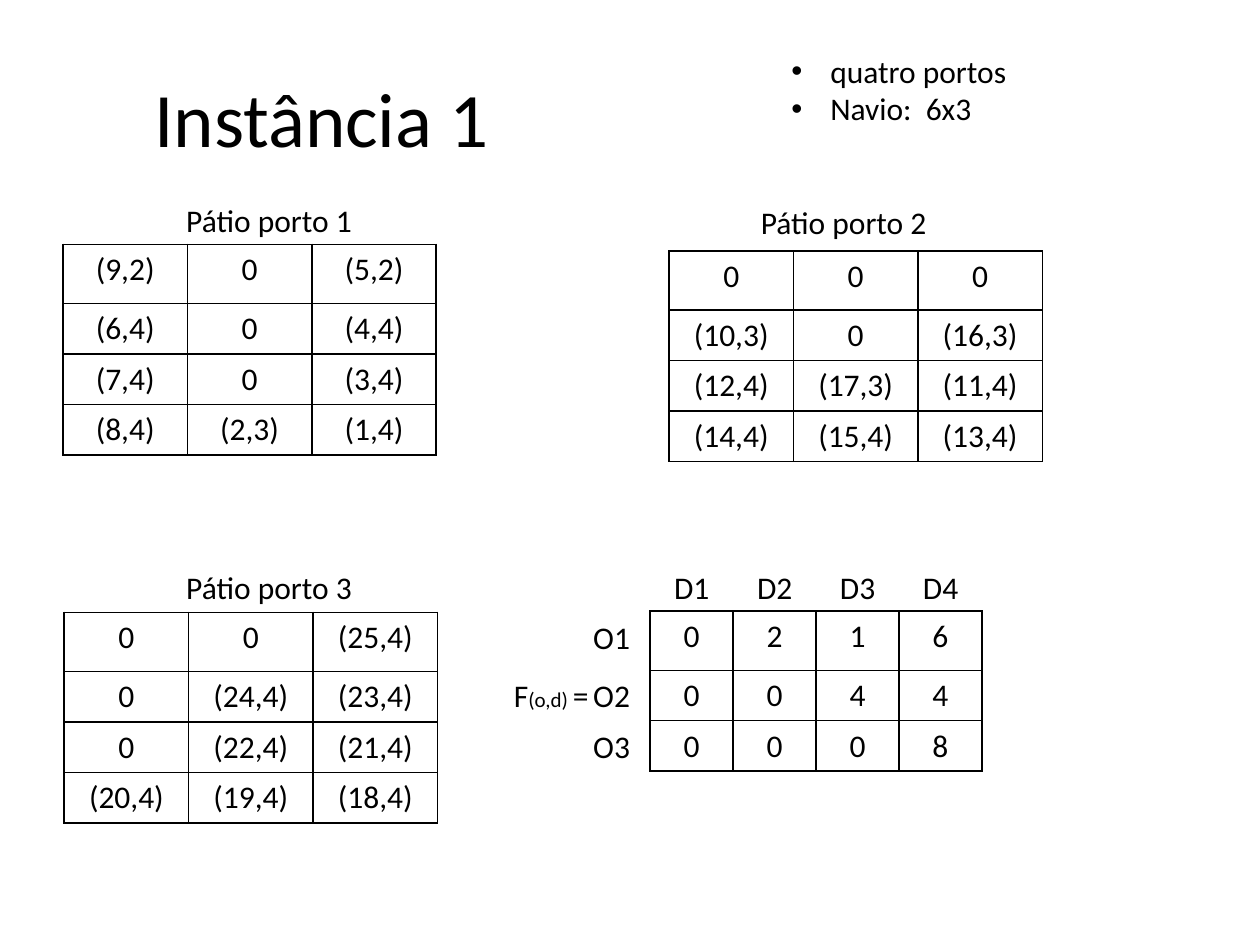
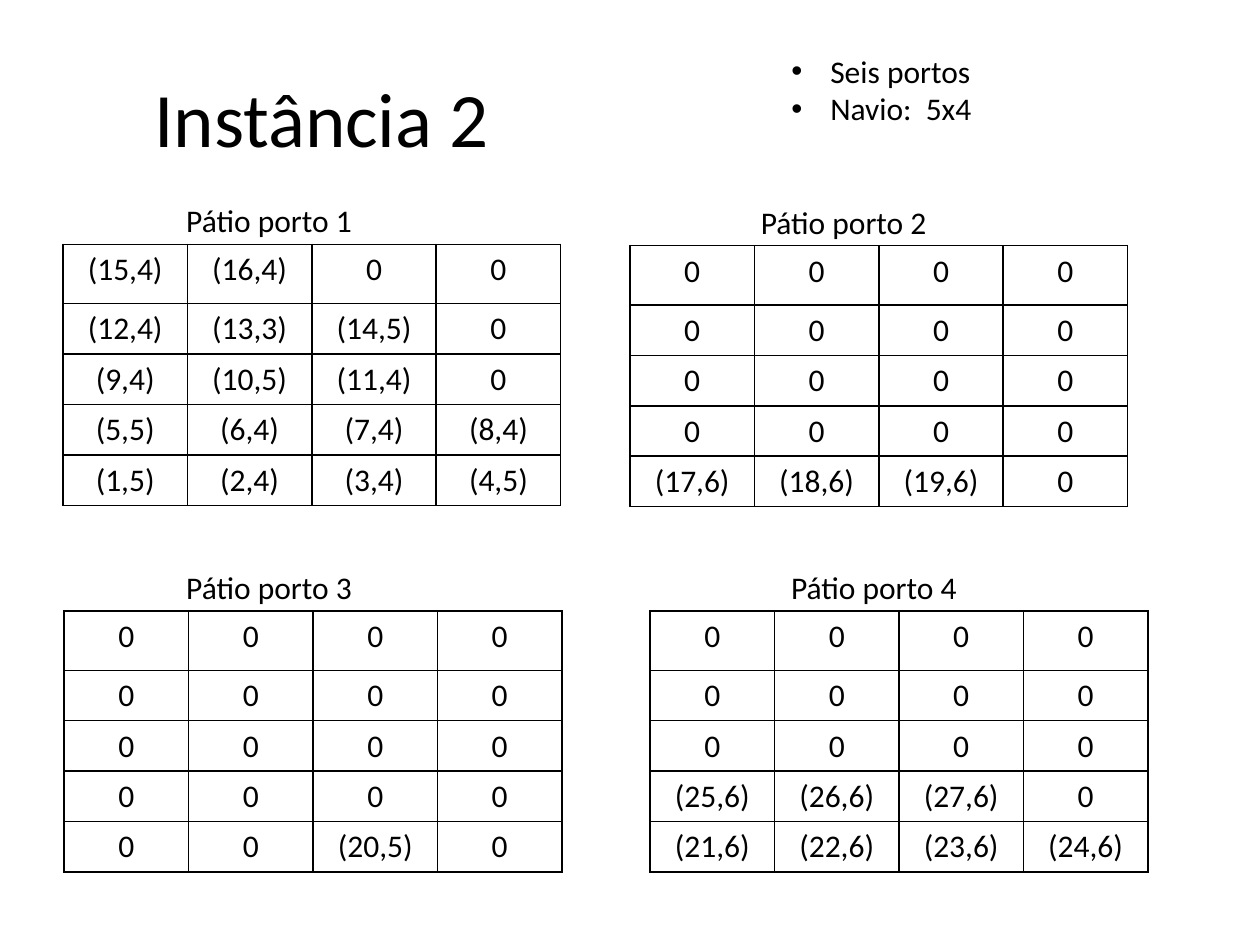
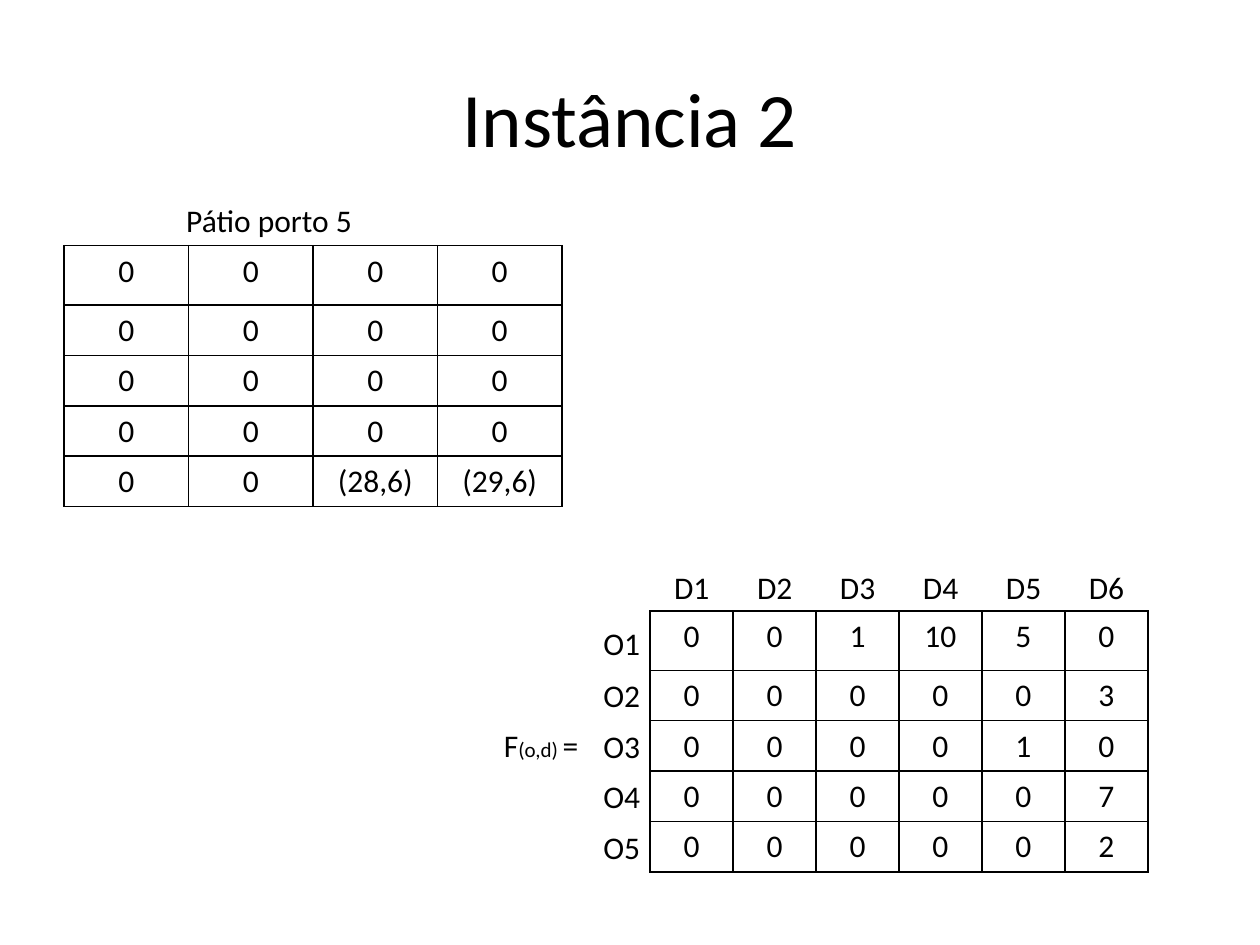
from lxml import etree
from pptx import Presentation
from pptx.dml.color import RGBColor
from pptx.enum.text import MSO_ANCHOR, MSO_AUTO_SIZE, PP_ALIGN
from pptx.oxml.ns import qn
from pptx.util import Inches, Pt

CENTER = PP_ALIGN.CENTER
LEFT = PP_ALIGN.LEFT
MIDDLE = MSO_ANCHOR.MIDDLE
NO_AUTOFIT = MSO_AUTO_SIZE.NONE
GROW = MSO_AUTO_SIZE.SHAPE_TO_FIT_TEXT

FONT = "Calibri"
INK = "000000"
TITLE_SIZE, TEXT_SIZE, INDEX_SIZE = 44, 18, 12
LINE_WIDTH = 1

LAYOUT_WITH_LIST, LAYOUT_TITLE_ONLY = 1, 5
FIRST_ROW, ROW = 0.47, 0.4
YARD_COLUMN = 3.95 / 4
FLOW_COLUMN = 3.95 / 6
LABEL_HEIGHT = 0.4
FLOW_LEFT, FLOW_TOP = 5.16, 4.85


def rgb(hex_color):
    return RGBColor.from_string(hex_color)


def row_tops(top, count):
    return [top] + [top + FIRST_ROW + ROW * i for i in range(count - 1)]


class Deck:
    def __init__(self):
        self.prs = Presentation()
        self.prs.slide_width = Inches(10)
        self.prs.slide_height = Inches(7.5)
        self.slide = None

    def new_slide(self, title, title_width, facts=None):
        """Start a slide with a title and, if given, a short bulleted list."""
        layout = LAYOUT_WITH_LIST if facts else LAYOUT_TITLE_ONLY
        self.slide = self.prs.slides.add_slide(self.prs.slide_layouts[layout])
        heading = self.slide.shapes.title
        self.place(heading, 0.5, 0.3, title_width, 1.25)
        heading.text_frame.vertical_anchor = MIDDLE
        self.add_runs(heading.text_frame.paragraphs[0], [(title, TITLE_SIZE)], CENTER)
        if facts:
            self.bullets(facts)

    def place(self, shape, left, top, width, height):
        shape.left, shape.top = Inches(left), Inches(top)
        shape.width, shape.height = Inches(width), Inches(height)

    def add_runs(self, paragraph, pieces, align=LEFT):
        """Add (text, size) pieces as runs in the deck's font."""
        paragraph.alignment = align
        for text, size in pieces:
            run = paragraph.add_run()
            run.text = text
            run.font.name = FONT
            run.font.size = Pt(size)
            run.font.color.rgb = rgb(INK)

    def bullets(self, facts):
        body = self.slide.placeholders[1]
        self.place(body, 6.18, 0.36, 2.68, 0.71)
        frame = body.text_frame
        frame.auto_size = NO_AUTOFIT
        for i, fact in enumerate(facts):
            paragraph = frame.add_paragraph() if i else frame.paragraphs[0]
            paragraph.space_before = Pt(0)
            self.add_runs(paragraph, [(fact, TEXT_SIZE)])
            properties = paragraph._p.get_or_add_pPr()
            properties.set("marL", str(Inches(0.31)))
            properties.set("indent", str(-Inches(0.31)))
            bullet = etree.SubElement(properties, qn("a:buChar"))
            bullet.set("char", "•")

    def label(self, left, top, width, *pieces):
        box = self.slide.shapes.add_textbox(
            Inches(left), Inches(top), Inches(width), Inches(LABEL_HEIGHT))
        frame = box.text_frame
        frame.word_wrap = True
        frame.auto_size = GROW
        self.add_runs(frame.paragraphs[0], pieces)
        return frame

    def grid(self, left, top, column_width, rows):
        """Draw a ruled table; each row is a string of values parted by spaces."""
        values = [row.split() for row in rows]
        columns = len(values[0])
        height = FIRST_ROW + ROW * (len(values) - 1)
        table = self.slide.shapes.add_table(
            len(values), columns, Inches(left), Inches(top),
            Inches(column_width * columns), Inches(height)).table
        table.first_row = table.horz_banding = False
        for column in table.columns:
            column.width = Inches(column_width)
        for i, row in enumerate(values):
            table.rows[i].height = Inches(ROW if i else FIRST_ROW)
            for j, value in enumerate(row):
                cell = table.cell(i, j)
                self.rule(cell)
                cell.fill.background()
                self.add_runs(cell.text_frame.paragraphs[0], [(value, TEXT_SIZE)], CENTER)

    def rule(self, cell):
        properties = cell._tc.get_or_add_tcPr()
        for side in ("a:lnL", "a:lnR", "a:lnT", "a:lnB"):
            line = etree.SubElement(properties, qn(side), w=str(Pt(LINE_WIDTH)))
            fill = etree.SubElement(line, qn("a:solidFill"))
            etree.SubElement(fill, qn("a:srgbClr"), val=INK)

    def yard(self, port, label_at, grid_at, rows):
        self.label(*label_at, 2.36, (f"Pátio porto {port}", TEXT_SIZE))
        self.grid(*grid_at, YARD_COLUMN, rows)

    def flow(self, rows, origin_left, first_origin_top, symbol_at):
        """Draw the origin-destination matrix F(o,d) with its row and column labels."""
        self.grid(FLOW_LEFT, FLOW_TOP, FLOW_COLUMN, rows)
        destinations = len(rows[0].split())
        names = "\t".join(f"D{d}" for d in range(1, destinations + 1))
        header = self.label(5.08, 4.46, 4.25, (names, TEXT_SIZE))
        header.margin_left = Inches(0.27)
        properties = header.paragraphs[0]._p.get_or_add_pPr()
        stops = etree.SubElement(properties, qn("a:tabLst"))
        for d in range(1, destinations):
            etree.SubElement(stops, qn("a:tab"), algn="l",
                             pos=str(Inches(FLOW_COLUMN * d)))
        tops = [first_origin_top] + row_tops(FLOW_TOP, len(rows))[1:]
        for origin, top in enumerate(tops, 1):
            self.label(origin_left, top, 0.6, (f"O{origin}", TEXT_SIZE))
        self.label(*symbol_at, 0.81,
                   ("F", TEXT_SIZE), ("(o,d) ", INDEX_SIZE), ("=", TEXT_SIZE))


def main():
    deck = Deck()
    empty = "0 0 0 0"
    upper_left, upper_right, lower_left = (1.38, 1.55), (5.94, 1.56), (1.38, 4.46)

    deck.new_slide("Instância 1", 4.11, ["quatro portos", "Navio:  6x3"])
    deck.yard(1, upper_left, (0.5, 1.94), [
        "(9,2) 0 (5,2)",
        "(6,4) 0 (4,4)",
        "(7,4) 0 (3,4)",
        "(8,4) (2,3) (1,4)"])
    deck.yard(2, upper_right, (5.31, 1.99), [
        "0 0 0",
        "(10,3) 0 (16,3)",
        "(12,4) (17,3) (11,4)",
        "(14,4) (15,4) (13,4)"])
    deck.yard(3, lower_left, (0.51, 4.86), [
        "0 0 (25,4)",
        "0 (24,4) (23,4)",
        "0 (22,4) (21,4)",
        "(20,4) (19,4) (18,4)"])
    deck.flow(["0 2 1 6", "0 0 4 4", "0 0 0 8"], 4.61, 4.86, (3.98, 5.32))

    deck.new_slide("Instância 2", 4.11, ["Seis portos", "Navio:  5x4"])
    deck.yard(1, upper_left, (0.5, 1.94), [
        "(15,4) (16,4) 0 0",
        "(12,4) (13,3) (14,5) 0",
        "(9,4) (10,5) (11,4) 0",
        "(5,5) (6,4) (7,4) (8,4)",
        "(1,5) (2,4) (3,4) (4,5)"])
    deck.yard(2, upper_right, (5, 1.95), [empty] * 4 + ["(17,6) (18,6) (19,6) 0"])
    deck.yard(3, lower_left, (0.51, 4.85), [empty] * 4 + ["0 0 (20,5) 0"])
    deck.yard(4, (6.18, 4.46), (5.16, 4.85), [empty] * 3 + [
        "(25,6) (26,6) (27,6) 0",
        "(21,6) (22,6) (23,6) (24,6)"])

    deck.new_slide("Instância 2", 9)
    deck.yard(5, upper_left, (0.51, 1.95), [empty] * 4 + ["0 0 (28,6) (29,6)"])
    deck.flow([
        "0 0 1 10 5 0",
        "0 0 0 0 0 3",
        "0 0 0 0 1 0",
        "0 0 0 0 0 7",
        "0 0 0 0 0 2"], 4.69, 4.9, (3.9, 5.71))

    deck.prs.save("out.pptx")


if __name__ == "__main__":
    main()
